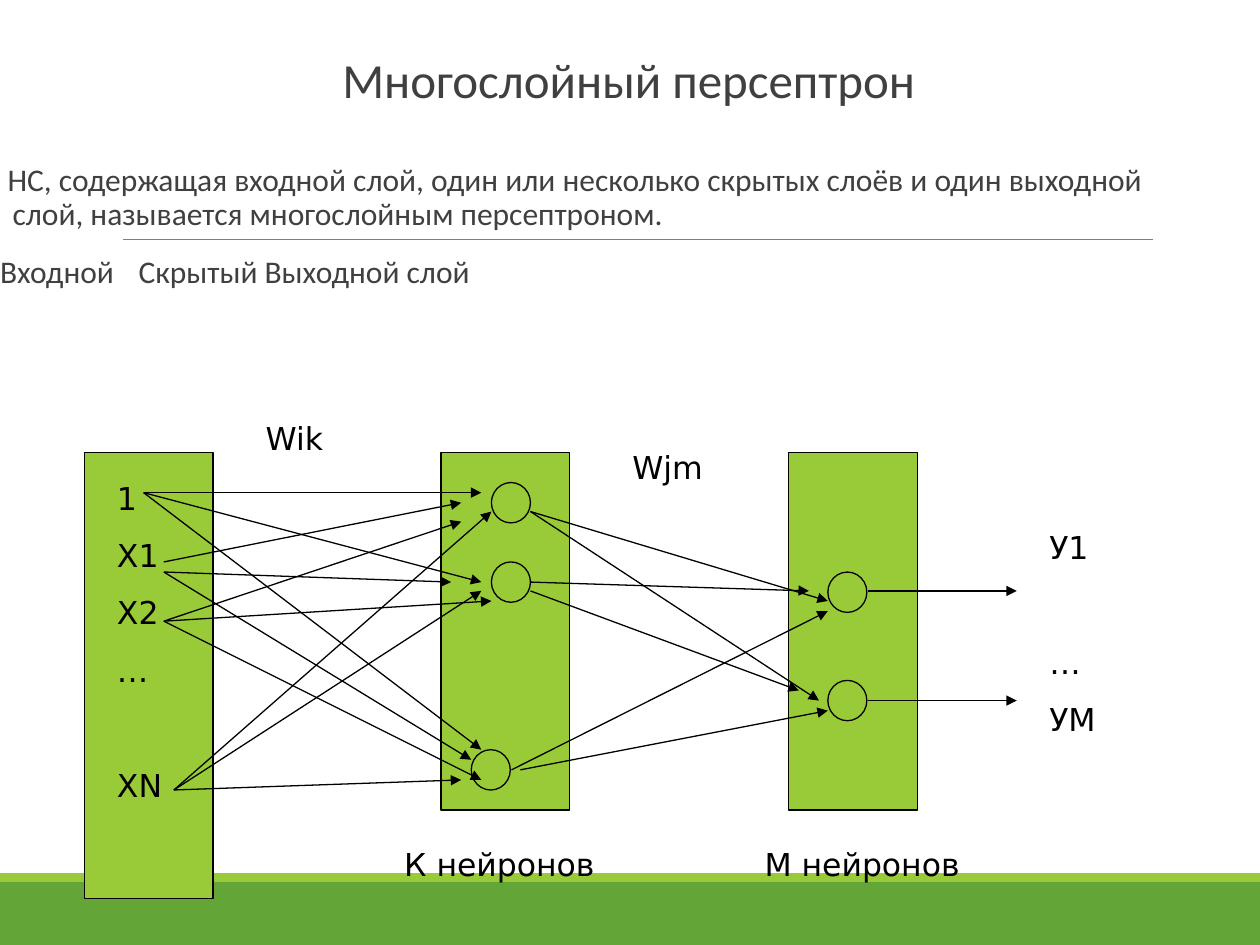
from lxml import etree
from pptx import Presentation
from pptx.dml.color import RGBColor
from pptx.enum.shapes import MSO_CONNECTOR, MSO_SHAPE
from pptx.enum.text import MSO_ANCHOR, MSO_AUTO_SIZE, PP_ALIGN
from pptx.oxml.ns import qn
from pptx.util import Inches, Pt

RECT, OVAL = MSO_SHAPE.RECTANGLE, MSO_SHAPE.OVAL
LINE = MSO_CONNECTOR.STRAIGHT
CENTER, BOTTOM, TOP = PP_ALIGN.CENTER, MSO_ANCHOR.BOTTOM, MSO_ANCHOR.TOP
FIXED, GROW = MSO_AUTO_SIZE.NONE, MSO_AUTO_SIZE.SHAPE_TO_FIT_TEXT

COLORS = {"green": "63A537", "lime": "99CB38", "rule": "7F7F7F",
          "text": "404040", "black": "000000"}
GAP, WIDE_GAP = 11.2, 44  # points before a label; the wide one skips a row

# Positions within the network, in inches from its top left corner
LAYERS = [(0, 3.54), (2.83, 2.84), (5.59, 2.84)]
NEURONS = [(3.23, 0.24), (3.23, 0.87), (3.07, 2.36), (5.9, 0.95), (5.9, 1.81)]
FANS = [
    ((0.47, 0.32), [(3.15, 0.32), (3.15, 1.03), (3.15, 2.36)]),
    ((0.63, 0.87), [(2.99, 0.4)]),
    ((0.63, 0.95), [(2.91, 1.03), (3.07, 2.44)]),
    ((0.63, 1.34), [(2.99, 0.55), (3.23, 1.18), (3.15, 2.6)]),
    ((0.71, 2.68), [(2.99, 2.6), (3.15, 1.1), (3.23, 0.47)]),
    ((3.54, 0.47), [(5.9, 1.18), (5.83, 1.97)]),
    ((3.54, 1.03), [(5.75, 1.1)]),
    ((3.54, 1.1), [(5.67, 1.89)]),
    ((3.39, 2.52), [(5.9, 1.26)]),
    ((3.46, 2.52), [(5.9, 2.05)]),
    ((6.22, 1.1), [(7.4, 1.1)]),
    ((6.22, 1.97), [(7.4, 1.97)]),
]
# Box, then (text, space before) for each line
LABELS = [
    ((0.16, 0.16, 0.63, 3.14),
     [("1", 0), ("Х1", GAP), ("Х2", GAP), ("…", GAP), ("ХN", WIDE_GAP)]),
    ((1.34, -0.31, 0.79, 0.4), [("Wik", 0)]),
    ((7.56, 0.55, 0.87, 1.77), [("У1", 0), ("…", WIDE_GAP), ("УМ", GAP)]),
    ((4.25, -0.08, 0.87, 0.4), [("Wjm", 0)]),
    ((2.44, 3.07, 5.43, 0.4), [("К нейронов\tМ нейронов", 0)]),
]


def color(name):
    return RGBColor.from_string(COLORS[name])


def place(shape, box):
    shape.left, shape.top, shape.width, shape.height = map(Inches, box)


def style(font, name, size, tint):
    font.name, font.size = name, Pt(size)
    font.color.rgb = color(tint)


def add_tabs(para, stops):
    tabs = etree.SubElement(para._p.get_or_add_pPr(), qn("a:tabLst"))
    for stop in stops:
        etree.SubElement(tabs, qn("a:tab"), pos=str(Inches(stop)), algn="l")


def add_form(slide, kind, box, fill, outline=None):
    form = slide.shapes.add_shape(kind, *map(Inches, box))
    form.shadow.inherit = False
    form.fill.solid()
    form.fill.fore_color.rgb = color(fill)
    if outline:
        form.line.color.rgb = color(outline)
        form.line.width = Pt(0.75)
    else:
        form.line.fill.background()


def add_line(slide, start, end, tint, width, arrow=False):
    line = slide.shapes.add_connector(LINE, *map(Inches, (*start, *end)))
    line.line.color.rgb = color(tint)
    line.line.width = Pt(width)
    if arrow:
        etree.SubElement(line.line._get_or_add_ln(), qn("a:tailEnd"),
                         type="triangle")
    etree.SubElement(line._element.spPr, qn("a:effectLst"))


def add_frame(slide, width, height):
    """Draw the footer bands and the rule under the heading."""
    add_form(slide, RECT, (0, height - 0.5, width, 0.5), "green")
    add_form(slide, RECT, (0, height - 0.57, width, 0.07), "lime")
    add_line(slide, (0.98, 1.9), (9.15, 1.9), "rule", 0.5)


def fill_title(title, box):
    place(title, box)
    frame = title.text_frame
    frame.text = "Многослойный персептрон"
    frame.vertical_anchor, frame.auto_size = BOTTOM, FIXED
    para = frame.paragraphs[0]
    para.alignment, para.line_spacing = CENTER, 0.85
    style(para.runs[0].font, "Calibri", 28, "text")


def fill_body(body, box):
    place(body, box)
    frame = body.text_frame
    frame.text = ("НС, содержащая входной слой, один или несколько скрытых "
                  "слоёв и один выходной слой, называется многослойным "
                  "персептроном.\nВходной\tСкрытый\tВыходной слой")
    frame.vertical_anchor, frame.auto_size = TOP, FIXED
    frame.margin_left = frame.margin_right = 0
    layout = [(-0.04, 0, []), (-0.1, 12, [2.09, 3.77])]
    for para, (indent, before, stops) in zip(frame.paragraphs, layout):
        props = para._p.get_or_add_pPr()
        props.set("marL", str(Inches(0.1)))
        props.set("indent", str(Inches(indent)))
        etree.SubElement(props, qn("a:buNone"))
        if stops:
            add_tabs(para, stops)
        para.line_spacing = 0.9
        para.space_before, para.space_after = Pt(before), Pt(2)
        style(para.runs[0].font, "Calibri", 18, "text")


def add_label(slide, box, lines):
    frame = slide.shapes.add_textbox(*map(Inches, box)).text_frame
    frame.word_wrap, frame.auto_size = True, GROW
    frame.text = "\n".join(text for text, _ in lines)
    for para, (text, before) in zip(frame.paragraphs, lines):
        if "\t" in text:
            add_tabs(para, [2.86])
        para.space_before = Pt(before)
        style(para.runs[0].font, "DejaVu Sans", 18, "black")


def add_network(slide, left, top):
    def shift(point):
        return left + point[0], top + point[1]

    for x, height in LAYERS:
        add_form(slide, RECT, (*shift((x, 0)), 1.02, height), "lime", "black")
    for spot in NEURONS:
        add_form(slide, OVAL, (*shift(spot), 0.31, 0.32), "lime", "black")
    for start, ends in FANS:
        for end in ends:
            add_line(slide, shift(start), shift(end), "black", 0.75, True)
    for (x, y, *size), lines in LABELS:
        add_label(slide, (*shift((x, y)), *size), lines)


def main():
    deck = Presentation()
    deck.slide_width, deck.slide_height = Inches(10), Inches(7.5)
    slide = deck.slides.add_slide(deck.slide_layouts[1])
    add_frame(slide, 10, 7.5)
    fill_title(slide.shapes.title, (0.48, 0.11, 9.02, 0.8))
    fill_body(slide.placeholders[1], (0, 1.25, 9.5, 6.25))
    add_network(slide, 0.67, 3.59)
    deck.save("out.pptx")


if __name__ == "__main__":
    main()
